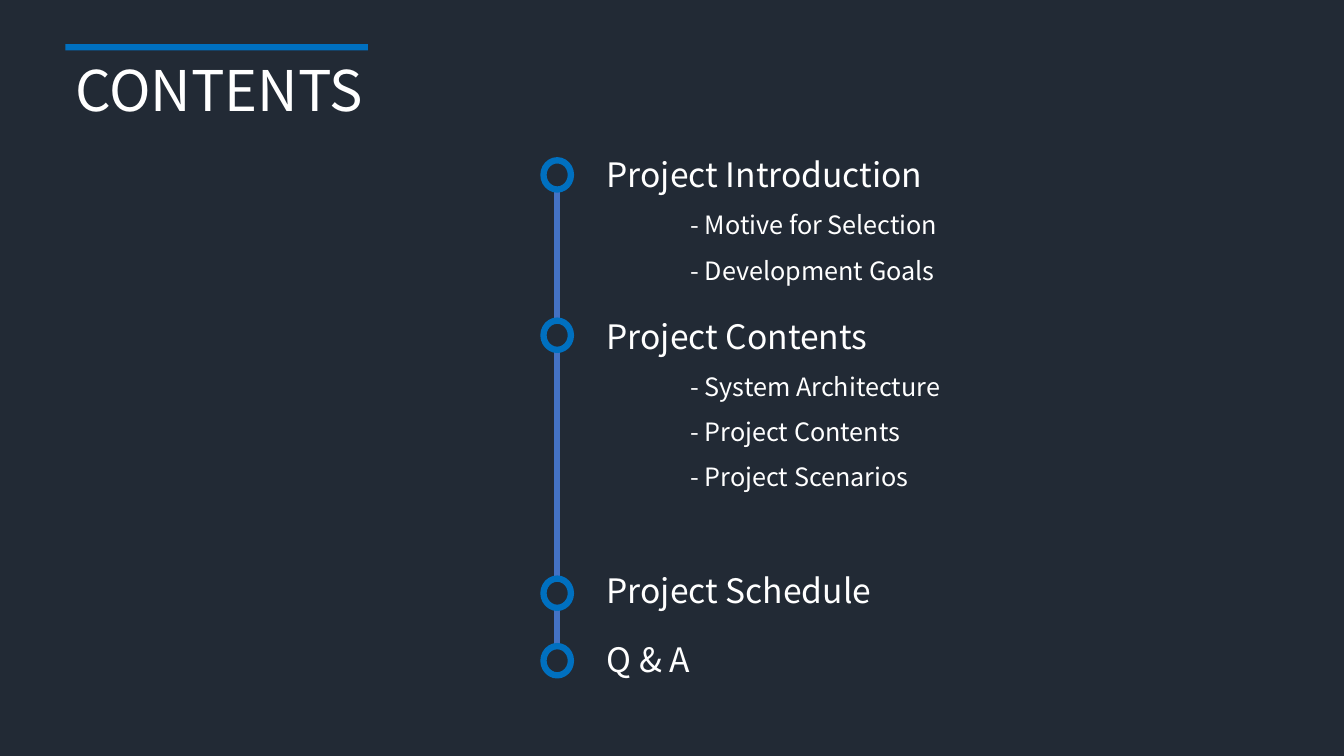
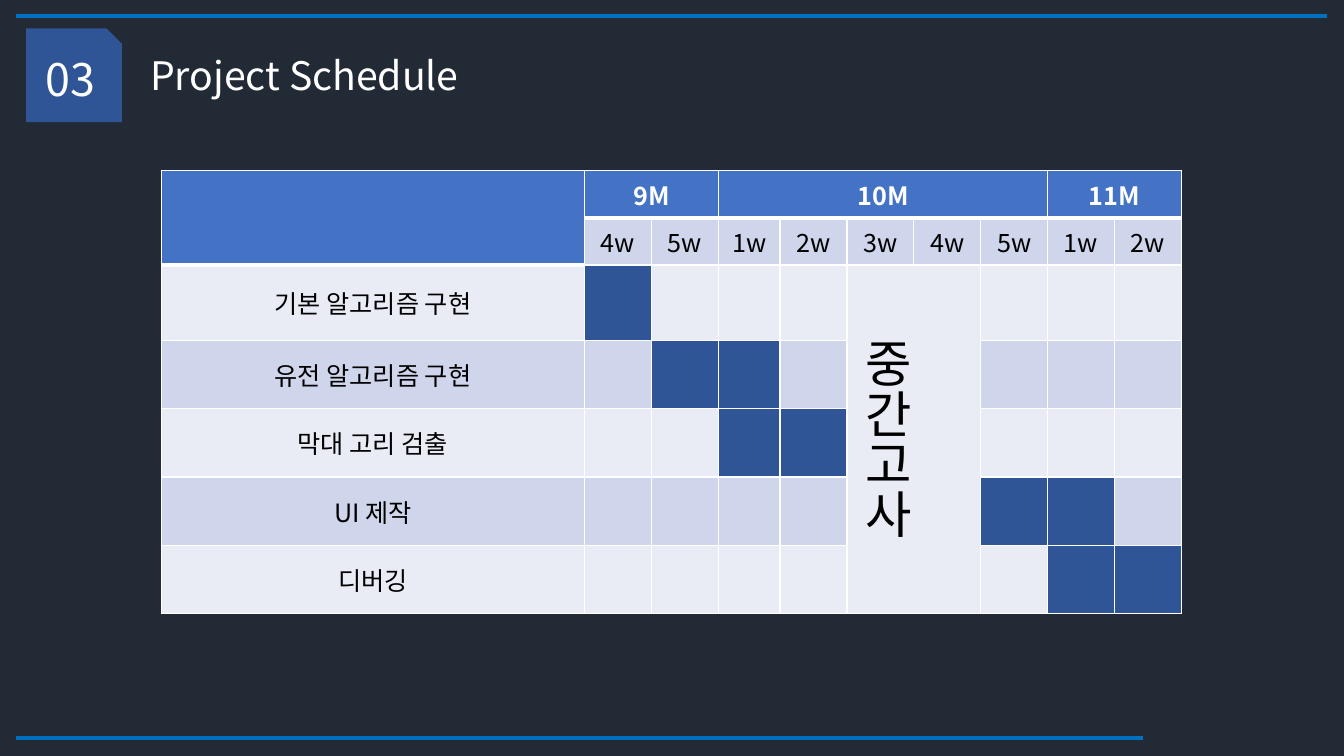
from dataclasses import dataclass

from lxml import etree
from pptx import Presentation
from pptx.dml.color import RGBColor
from pptx.enum.shapes import MSO_CONNECTOR, MSO_SHAPE
from pptx.enum.text import MSO_ANCHOR, MSO_AUTO_SIZE, PP_ALIGN
from pptx.oxml.ns import qn
from pptx.presentation import Presentation as Deck
from pptx.shapes.autoshape import Shape
from pptx.slide import Slide
from pptx.table import Table, _Cell
from pptx.text.text import TextFrame
from pptx.util import Pt

STRAIGHT = MSO_CONNECTOR.STRAIGHT
RECTANGLE, OVAL, SNIPPED = MSO_SHAPE.RECTANGLE, MSO_SHAPE.OVAL, MSO_SHAPE.SNIP_1_RECTANGLE
TOP, MIDDLE = MSO_ANCHOR.TOP, MSO_ANCHOR.MIDDLE
LEFT, CENTER = PP_ALIGN.LEFT, PP_ALIGN.CENTER
GROW = MSO_AUTO_SIZE.SHAPE_TO_FIT_TEXT
TITLE_ONLY, TWO_LISTS = 5, 3


@dataclass(frozen=True)
class Theme:
    font: str = "Noto Sans CJK KR"
    background: str = "222A35"
    accent: str = "0070C0"
    spine: str = "4472C4"
    header: str = "4472C4"
    planned: str = "2F5597"
    bands: tuple[str, str] = ("E9EBF5", "CFD5EA")
    light: str = "FFFFFF"
    dark: str = "000000"
    cover_size: float = 40
    exam_size: float = 36
    number_size: float = 32
    title_size: float = 28
    section_size: float = 24
    text_size: float = 18


@dataclass(frozen=True)
class Box:
    left: float
    top: float
    width: float
    height: float


@dataclass(frozen=True)
class Section:
    title: str
    title_top: float
    node_top: float
    items: tuple[str, ...] = ()


@dataclass(frozen=True)
class Month:
    name: str
    weeks: tuple[str, ...]


@dataclass(frozen=True)
class Task:
    name: str
    first_week: int
    duration: int
    height: float = 48.7


THEME = Theme()

SECTIONS = (
    Section("Project Introduction", 106.6, 114.5,
            ("- Motive for Selection", "- Development Goals")),
    Section("Project Contents", 221.8, 229,
            ("- System Architecture", "- Project Contents", "- Project Scenarios")),
    Section("Project Schedule", 403.2, 413.3),
    Section("Q & A", 452.9, 461.5),
)

MONTHS = (
    Month("9M", ("4w", "5w")),
    Month("10M", ("1w", "2w", "3w", "4w", "5w")),
    Month("11M", ("1w", "2w")),
)

TASKS = (
    Task("기본 알고리즘 구현", 0, 1, 54),
    Task("유전 알고리즘 구현", 1, 2),
    Task("막대 고리 검출", 2, 2),
    Task("UI 제작", 6, 2),
    Task("디버깅", 7, 2),
)

HEADER_ROWS = 2
HEADER_HEIGHT = 33.8
NAME_WIDTH, WEEK_WIDTH, NARROW_WIDTH = 302.4, 47.8, 44
NARROW_WEEK = 2
EXAM_FIRST, EXAM_LAST = 5, 6


def rgb(value: str) -> RGBColor:
    return RGBColor.from_string(value)


def place(shape: Shape, box: Box) -> None:
    shape.left, shape.top = Pt(box.left), Pt(box.top)
    shape.width, shape.height = Pt(box.width), Pt(box.height)


def write(frame: TextFrame, *lines: str, size: float, color: str = THEME.light,
          bold: bool = False, align: PP_ALIGN = LEFT, spacing: float = 1.0) -> None:
    for index, line in enumerate(lines):
        paragraph = frame.paragraphs[0] if index == 0 else frame.add_paragraph()
        paragraph.alignment = align
        paragraph.line_spacing = spacing
        paragraph.space_before = Pt(0)
        run = paragraph.add_run()
        run.text = line
        run.font.size, run.font.bold = Pt(size), bold
        run.font.color.rgb = rgb(color)
        run.font.name = THEME.font
        east_asian = etree.SubElement(run.font._element, qn("a:ea"))
        east_asian.set("typeface", THEME.font)


def fill_text(shape: Shape, box: Box, *lines: str, size: float, spacing: float = 1.0) -> None:
    frame = shape.text_frame
    frame.word_wrap = True
    frame.auto_size = GROW
    frame.vertical_anchor = TOP
    place(shape, box)
    write(frame, *lines, size=size, spacing=spacing)


def fill_list(shape: Shape, box: Box, items: tuple[str, ...]) -> None:
    fill_text(shape, box, *items, size=THEME.text_size, spacing=1.5)
    for paragraph in shape.text_frame.paragraphs:
        properties = paragraph._p.get_or_add_pPr()
        properties.set("marL", "0")
        properties.set("indent", "0")
        etree.SubElement(properties, qn("a:buNone"))


def add_figure(slide: Slide, preset: MSO_SHAPE, box: Box, fill: str,
               outline: str | None = None) -> Shape:
    figure = slide.shapes.add_shape(
        preset, Pt(box.left), Pt(box.top), Pt(box.width), Pt(box.height))
    figure.shadow.inherit = False
    figure.fill.solid()
    figure.fill.fore_color.rgb = rgb(fill)
    if outline:
        figure.line.color.rgb = rgb(outline)
        figure.line.width = Pt(4.5)
    else:
        figure.line.fill.background()
    return figure


def add_line(slide: Slide, start: tuple[float, float], end: tuple[float, float],
             color: str, width: float) -> None:
    line = slide.shapes.add_connector(
        STRAIGHT, Pt(start[0]), Pt(start[1]), Pt(end[0]), Pt(end[1]))
    line.line.color.rgb = rgb(color)
    line.line.width = Pt(width)
    etree.SubElement(line._element.spPr, qn("a:effectLst"))


def build_contents(deck: Deck) -> None:
    slide = deck.slides.add_slide(deck.slide_layouts[TWO_LISTS])
    add_figure(slide, RECTANGLE, Box(46.8, 31.5, 216, 4.5), THEME.accent)
    fill_text(slide.shapes.title, Box(46.8, 36, 251.3, 55.7), "CONTENTS",
              size=THEME.cover_size)

    spine_x, node_width, node_height = 398, 19.6, 20.9
    add_line(slide, (spine_x, SECTIONS[0].node_top + node_height),
             (spine_x, SECTIONS[-1].node_top + node_height), THEME.spine, 4.5)

    lists = iter([holder for holder in slide.placeholders
                  if holder.placeholder_format.idx in (1, 2)])
    for section in SECTIONS:
        node = Box(spine_x - node_width / 2, section.node_top, node_width, node_height)
        add_figure(slide, OVAL, node, THEME.background, THEME.accent)
        heading = slide.shapes.add_textbox(0, 0, 0, 0)
        fill_text(heading, Box(426.2, section.title_top, 363.6, 36.3), section.title,
                  size=THEME.section_size)
        if section.items:
            fill_list(next(lists), Box(486, section.title_top + 28.8, 363.6,
                                       34 * len(section.items)), section.items)


def set_borders(cell: _Cell, top: float, bottom: float) -> None:
    properties = cell._tc.get_or_add_tcPr()
    for side, width in (("L", 1), ("R", 1), ("T", top), ("B", bottom)):
        border = etree.SubElement(properties, qn(f"a:ln{side}"), w=str(Pt(width)))
        paint = etree.SubElement(border, qn("a:solidFill"))
        etree.SubElement(paint, qn("a:srgbClr"), val=THEME.light)


def border_below(row: int, column: int) -> float:
    header_depth = HEADER_ROWS if column == 0 else 1
    return 3 if 0 <= row < header_depth else 1


def cell_color(row: int, column: int) -> str:
    if row == 0 or (row < HEADER_ROWS and column == 0):
        return THEME.header
    if row < HEADER_ROWS:
        return THEME.bands[1]
    task = TASKS[row - HEADER_ROWS]
    if task.first_week <= column - 1 < task.first_week + task.duration:
        return THEME.planned
    return THEME.bands[row % 2]


def label(cell: _Cell, text: str, *, size: float = THEME.text_size,
          color: str = THEME.dark, bold: bool = False) -> None:
    cell.vertical_anchor = MIDDLE
    write(cell.text_frame, text, size=size, color=color, bold=bold, align=CENTER)


def style_grid(table: Table) -> None:
    for row in range(len(table.rows)):
        for column in range(len(table.columns)):
            cell = table.cell(row, column)
            set_borders(cell, border_below(row - 1, column), border_below(row, column))
            cell.fill.solid()
            cell.fill.fore_color.rgb = rgb(cell_color(row, column))


def add_schedule(slide: Slide) -> None:
    week_count = sum(len(month.weeks) for month in MONTHS)
    widths = [NAME_WIDTH] + [NARROW_WIDTH if week == NARROW_WEEK else WEEK_WIDTH
                             for week in range(week_count)]
    heights = [HEADER_HEIGHT] * HEADER_ROWS + [task.height for task in TASKS]
    table = slide.shapes.add_table(
        len(heights), len(widths), Pt(115.2), Pt(121.7),
        Pt(sum(widths)), Pt(sum(heights))).table
    for column, width in zip(table.columns, widths):
        column.width = Pt(width)
    for row, height in zip(table.rows, heights):
        row.height = Pt(height)
    style_grid(table)

    table.cell(0, 0).merge(table.cell(HEADER_ROWS - 1, 0))
    first = 1
    for month in MONTHS:
        month_cell = table.cell(0, first)
        month_cell.merge(table.cell(0, first + len(month.weeks) - 1))
        label(month_cell, month.name, color=THEME.light, bold=True)
        for column, week in enumerate(month.weeks, first):
            label(table.cell(1, column), week)
        first += len(month.weeks)
    for row, task in enumerate(TASKS, HEADER_ROWS):
        label(table.cell(row, 0), task.name)

    exam = table.cell(HEADER_ROWS, EXAM_FIRST)
    exam.merge(table.cell(len(heights) - 1, EXAM_LAST))
    label(exam, "중간고사", size=THEME.exam_size)
    exam._tc.get_or_add_tcPr().set("vert", "eaVert")


def build_schedule(deck: Deck) -> None:
    slide = deck.slides.add_slide(deck.slide_layouts[TITLE_ONLY])
    number = add_figure(slide, SNIPPED, Box(18.7, 20.2, 68.4, 67), THEME.planned)
    number.text_frame.vertical_anchor = MIDDLE
    write(number.text_frame, "03", size=THEME.number_size, align=CENTER)
    for y, right in ((11.5, 948.2), (527, 816.5)):
        add_line(slide, (11.5, y), (right, y), THEME.accent, 3)
    fill_text(slide.shapes.title, Box(100.1, 33.1, 363.6, 41.2), "Project Schedule",
              size=THEME.title_size)
    add_schedule(slide)


def main() -> None:
    deck = Presentation()
    deck.slide_width, deck.slide_height = Pt(960), Pt(540)
    backdrop = deck.slide_master.background.fill
    backdrop.solid()
    backdrop.fore_color.rgb = rgb(THEME.background)
    build_contents(deck)
    build_schedule(deck)
    deck.save("out.pptx")


if __name__ == "__main__":
    main()
